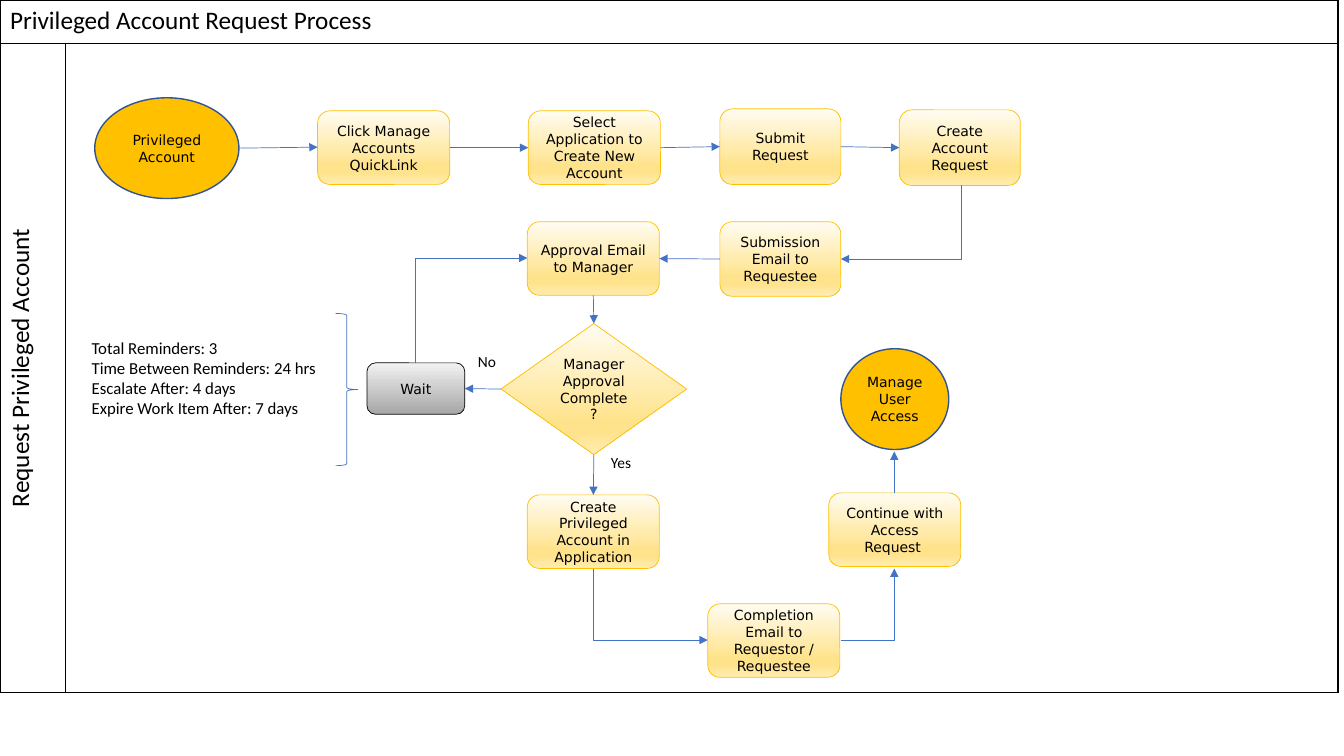
from lxml import etree
from pptx import Presentation
from pptx import util as u
from pptx.dml.color import RGBColor
from pptx.enum import shapes, text
from pptx.oxml import ns

I = u.Inches
kind = shapes.MSO_SHAPE
link = shapes.MSO_CONNECTOR
mid = text.PP_ALIGN.CENTER

deck = Presentation()
deck.slide_width, deck.slide_height = I(13.33), I(7.5)
page = deck.slides.add_slide(deck.slide_layouts[6])
pool = page.shapes


def paint(color, value):
    color.rgb = RGBColor.from_string(value)


def write(frame, words, font, size, align=None):
    frame.word_wrap = True
    frame.text = words
    for para in frame.paragraphs:
        para.font.name, para.font.size = font, u.Pt(size)
        para.alignment = align
        paint(para.font.color, "000000")


lane = pool.add_table(2, 2, 0, 0, I(13.27), I(6.87)).table
lane.first_row = lane.horz_banding = False
for col, wide in zip(lane.columns, (0.65, 12.62)):
    col.width = I(wide)
for row, tall in zip(lane.rows, (0.43, 6.44)):
    row.height = I(tall)
lane.cell(0, 0).merge(lane.cell(0, 1))
write(lane.cell(0, 0).text_frame, "Privileged Account Request Process", "Calibri", 18)
write(lane.cell(1, 0).text_frame, "Request Privileged Account", "Calibri", 18, mid)
for cell in lane.iter_cells():
    cell.fill.background()
    prop = cell._tc.get_or_add_tcPr()
    for spot, side in enumerate(("lnL", "lnR", "lnT", "lnB")):
        edge = etree.Element(ns.qn("a:" + side), w="12700")
        fill = etree.SubElement(edge, ns.qn("a:solidFill"))
        etree.SubElement(fill, ns.qn("a:srgbClr"), val="000000")
        prop.insert(spot, edge)
lane.cell(1, 0)._tc.tcPr.set("vert", "vert270")

gold = [(0, "FFFCF2"), (51, "FFEBAC"), (74, "FFE38C"), (83, "FFE38C"), (100, "FFECB2")]
gray = [(0, "F2F2F2"), (100, "A6A6A6")]
looks = {
    "end": (kind.OVAL, "FFC000", "325491", 1),
    "step": (kind.ROUNDED_RECTANGLE, gold, "FFC000", 0.5),
    "test": (kind.DIAMOND, gold, "FFC000", 0.5),
    "wait": (kind.ROUNDED_RECTANGLE, gray, "000000", 0.5),
}
nodes = [
    ("start", "end", 0.94, 0.97, 1.43, 1, "Privileged Account"),
    ("click", "step", 3.15, 1.1, 1.31, 0.73, "Click Manage Accounts QuickLink"),
    ("select", "step", 5.24, 1.1, 1.31, 0.73, "Select Application to Create New Account"),
    ("submit", "step", 7.14, 1.08, 1.2, 0.75, "Submit Request"),
    ("create", "step", 8.92, 1.09, 1.2, 0.75, "Create Account Request"),
    ("approve", "step", 5.23, 2.2, 1.31, 0.73, "Approval Email to Manager"),
    ("notice", "step", 7.14, 2.2, 1.2, 0.74, "Submission Email to Requestee"),
    ("check", "test", 4.97, 3.21, 1.84, 1.3, "Manager Approval Complete?"),
    ("wait", "wait", 3.64, 3.6, 0.97, 0.51, "Wait"),
    ("build", "step", 5.23, 4.91, 1.31, 0.73, "Create Privileged Account in Application"),
    ("done", "step", 7.02, 5.99, 1.31, 0.73, "Completion Email to Requestor / Requestee"),
    ("resume", "step", 8.22, 4.89, 1.31, 0.73, "Continue with Access Request "),
    ("manage", "end", 8.34, 3.46, 1.07, 1, "Manage User Access"),
]
boxes = {}
for name, look, x, y, wide, tall, words in nodes:
    form, fill, rim, weight = looks[look]
    box = boxes[name] = pool.add_shape(form, I(x), I(y), I(wide), I(tall))
    box.shadow.inherit = False
    if look == "end":
        box.fill.solid()
        paint(box.fill.fore_color, fill)
    else:
        box.fill.gradient()
        box.fill.gradient_angle = 270
        stops = box._element.spPr.find(".//" + ns.qn("a:gsLst"))
        for stop in list(stops):
            stops.remove(stop)
        for place, shade in fill:
            stop = etree.SubElement(stops, ns.qn("a:gs"), pos=str(place * 1000))
            etree.SubElement(stop, ns.qn("a:srgbClr"), val=shade)
    paint(box.line.color, rim)
    box.line.width = u.Pt(weight)
    box.text_frame.vertical_anchor = text.MSO_ANCHOR.MIDDLE
    write(box.text_frame, words, "DejaVu Sans", 10, mid)

brace = pool.add_shape(kind.RIGHT_BRACE, I(3.33), I(3.11), I(0.22), I(1.51))
brace.shadow.inherit = False
brace.fill.background()
paint(brace.line.color, "4472C4")
brace.line.width = u.Pt(0.5)

rules = "\n".join(("Total Reminders: 3", "Time Between Reminders: 24 hrs",
                   "Escalate After: 4 days", "Expire Work Item After: 7 days"))
write(pool.add_textbox(I(0.81), I(3.3), I(2.52), I(1.07)).text_frame, rules, "Calibri", 12)
for words, x, y in (("Yes", 5.93, 4.41), ("No", 4.6, 3.41)):
    frame = pool.add_textbox(I(x), I(y), I(0.46), I(0.35)).text_frame
    frame.vertical_anchor = text.MSO_ANCHOR.MIDDLE
    write(frame, words, "Calibri", 11, mid)

arrows = []
for x, y, to_x, to_y in ((2.36, 1.47, 3.15, 1.46), (8.87, 4.89, 8.87, 4.48)):
    arrows.append(pool.add_connector(link.STRAIGHT, I(x), I(y), I(to_x), I(to_y)))

top, left, base, right = range(4)
for tail, exit, head, entry in (
    ("click", right, "select", left), ("select", right, "submit", left),
    ("submit", right, "create", left), ("notice", left, "approve", right),
    ("approve", base, "check", top), ("check", base, "build", top),
    ("check", left, "wait", right),
):
    arrow = pool.add_connector(link.STRAIGHT, 0, 0, 0, 0)
    arrow.begin_connect(boxes[tail], exit)
    arrow.end_connect(boxes[head], entry)
    arrows.append(arrow)

for x, y, to_x, to_y, turn, flips in (
    (4.12, 3.6, 5.23, 2.56, 90, ("flipH", "flipV")),
    (9.53, 1.84, 8.34, 2.57, 90, ()),
    (5.89, 5.64, 7.02, 6.35, 270, ("flipH",)),
    (8.34, 6.35, 8.87, 5.64, 0, ("flipV",)),
):
    wide, tall = abs(to_x - x), abs(to_y - y)
    if turn:
        wide, tall = tall, wide
    x, y = (x + to_x - wide) / 2, (y + to_y - tall) / 2
    arrow = pool.add_connector(link.ELBOW, I(x), I(y), I(x + wide), I(y + tall))
    prop = arrow._element.spPr
    prop.find(ns.qn("a:prstGeom")).set("prst", "bentConnector2")
    prop.xfrm.set("rot", str(turn * 60000))
    for flip in flips:
        prop.xfrm.set(flip, "1")
    arrows.append(arrow)

for arrow in arrows:
    paint(arrow.line.color, "4472C4")
    arrow.line.width = u.Pt(0.5)
    etree.SubElement(arrow.line._get_or_add_ln(), ns.qn("a:tailEnd"), type="triangle")
    etree.SubElement(arrow._element.spPr, ns.qn("a:effectLst"))

deck.save("out.pptx")
